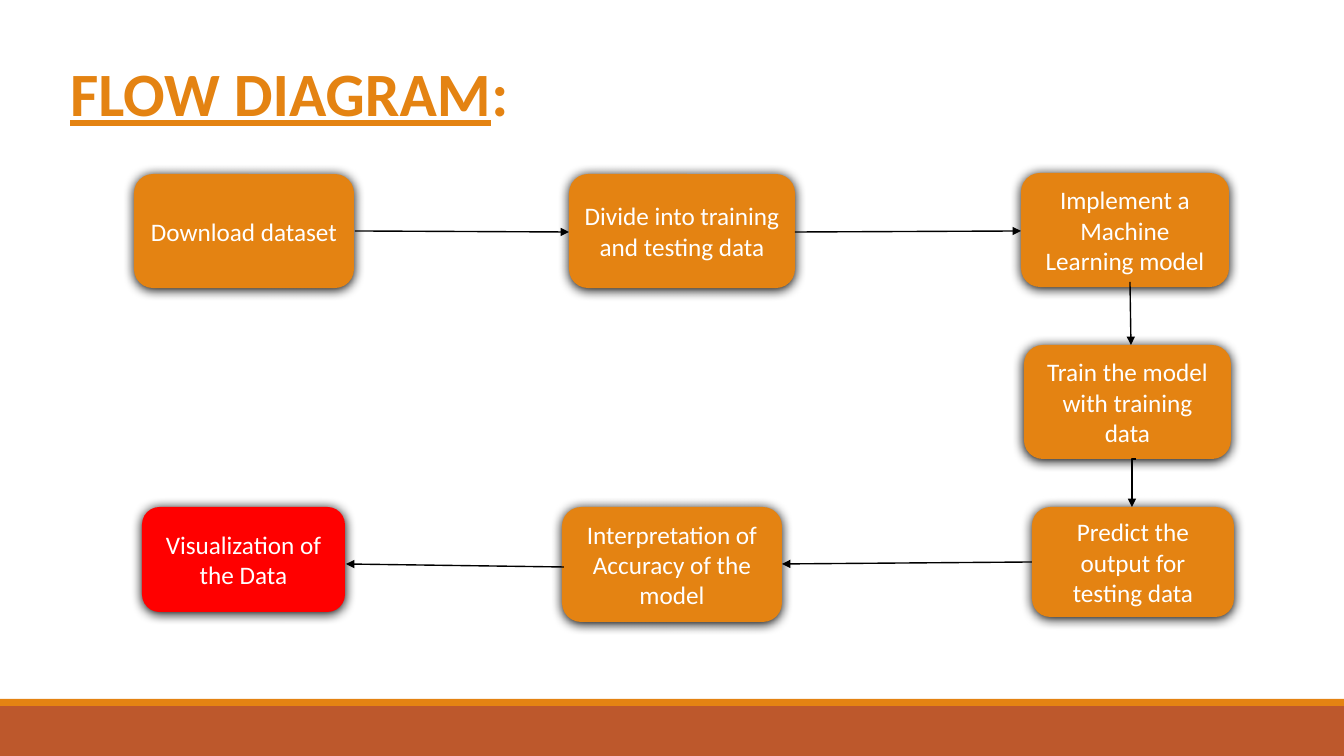
from dataclasses import dataclass

from lxml.etree import SubElement as Sub
from pptx import Presentation
from pptx.dml.color import RGBColor as Rgb
from pptx.enum.shapes import MSO_CONNECTOR as Conn, MSO_SHAPE as Shape
from pptx.enum.text import MSO_ANCHOR as Anchor, PP_ALIGN as Align
from pptx.oxml.ns import qn
from pptx.util import Pt

SCALE = 914400 / 100.8


def px(n):
    """Turn picture pixels into EMU."""
    return round(n * SCALE)


@dataclass(frozen=True)
class Theme:
    """Colours, font and type sizes."""
    font: str = "Calibri"
    head: int = 44
    body: int = 18
    main: str = "E48312"
    base: str = "BD582C"
    last: str = "FF0000"
    ink: str = "000000"
    pale: str = "FFFFFF"


def write(para, text, *, font, size, color, bold=False, under=False):
    """Add one formatted run to a paragraph."""
    run = para.add_run()
    run.text = text
    face = run.font
    face.name, face.size = font, Pt(size)
    face.bold, face.underline = bold, under
    face.color.rgb = Rgb.from_string(color)


class Deck:
    """Hold the theme and the current slide."""

    def __init__(self, theme, wide, high):
        """Open a deck with one title-only slide."""
        self.theme = theme
        self.file = Presentation()
        self.file.slide_width, self.file.slide_height = px(wide), px(high)
        self.slide = self.file.slides.add_slide(self.file.slide_layouts[5])

    def title(self, parts, x, y, w, h):
        """Place the title; each part is a text and its underline."""
        look, head = self.theme, self.slide.shapes.title
        head.left, head.top, head.width, head.height = map(px, (x, y, w, h))
        frame = head.text_frame
        frame.word_wrap, frame.vertical_anchor = True, Anchor.TOP
        para = frame.paragraphs[0]
        para.alignment = Align.LEFT
        for text, under in parts:
            write(para, text, font=look.font, size=look.head,
                  color=look.main, bold=True, under=under)

    def shape(self, kind, fill, x, y, w, h):
        """Add a plain filled shape."""
        item = self.slide.shapes.add_shape(kind, *map(px, (x, y, w, h)))
        item.shadow.inherit = False
        item.fill.solid()
        item.fill.fore_color.rgb = Rgb.from_string(fill)
        item.line.fill.background()
        return item

    def step(self, text, x, y, w, h, fill=None):
        """Add a rounded step with a soft shadow and centred text."""
        look = self.theme
        item = self.shape(Shape.ROUNDED_RECTANGLE, fill or look.main, x, y, w, h)
        glow = Sub(item._element.spPr.find(qn("a:effectLst")), qn("a:outerShdw"),
                   blurRad=str(Pt(8.5)), dist=str(Pt(1)), dir="5400000",
                   algn="ctr", rotWithShape="0")
        Sub(glow, qn("a:srgbClr"), val=look.ink)
        frame = item.text_frame
        frame.word_wrap, frame.vertical_anchor = True, Anchor.MIDDLE
        para = frame.paragraphs[0]
        para.alignment = Align.CENTER
        write(para, text, font=look.font, size=look.body, color=look.pale)

    def arrow(self, start, end, bent=False):
        """Add an arrow, straight or with one corner."""
        kind = Conn.ELBOW if bent else Conn.STRAIGHT
        item = self.slide.shapes.add_connector(kind, *map(px, start + end))
        item.line.width = Pt(1)
        item.line.color.rgb = Rgb.from_string(self.theme.ink)
        props = item._element.spPr
        if bent:
            props.find(qn("a:prstGeom")).set("prst", "bentConnector2")
        Sub(props.find(qn("a:ln")), qn("a:tailEnd"), type="triangle")
        Sub(props, qn("a:effectLst"))

    def save(self):
        """Write the file."""
        self.file.save("out.pptx")


WIDE, HIGH = 1344, 756
TOP, LOW = 174, 507
look = Theme()
deck = Deck(look, WIDE, HIGH)

deck.shape(Shape.RECTANGLE, look.base, 0, 706, WIDE, 50)
deck.shape(Shape.RECTANGLE, look.main, 0, 699, WIDE, 7)
deck.title([("FLOW DIAGRAM", True), (":", False)], 60, 50, 1081, 85)

STEPS = [
    ("Download dataset", 134, TOP, 220, 114),
    ("Divide into training and testing data", 569, TOP, 226, 114),
    ("Implement a Machine Learning model", 1021, TOP - 1, 208, 114),
    ("Train the model with training data", 1024, 345, 207, 114),
    ("Predict the output for testing data", 1032, LOW, 202, 110),
    ("Interpretation of Accuracy of the model", 562, LOW, 220, 115),
    ("Visualization of the Data", 142, LOW, 203, 105, look.last),
]
for step in STEPS:
    deck.step(*step)

ARROWS = [
    ((355, 231), (569, 232)),
    ((795, 232), (1021, 231)),
    ((1130, 282), (1131, 345)),
    ((1136, 459), (1132, LOW), True),
    ((1032, 562), (782, 564)),
    ((564, 567), (346, 564)),
]
for arrow in ARROWS:
    deck.arrow(*arrow)

deck.save()
